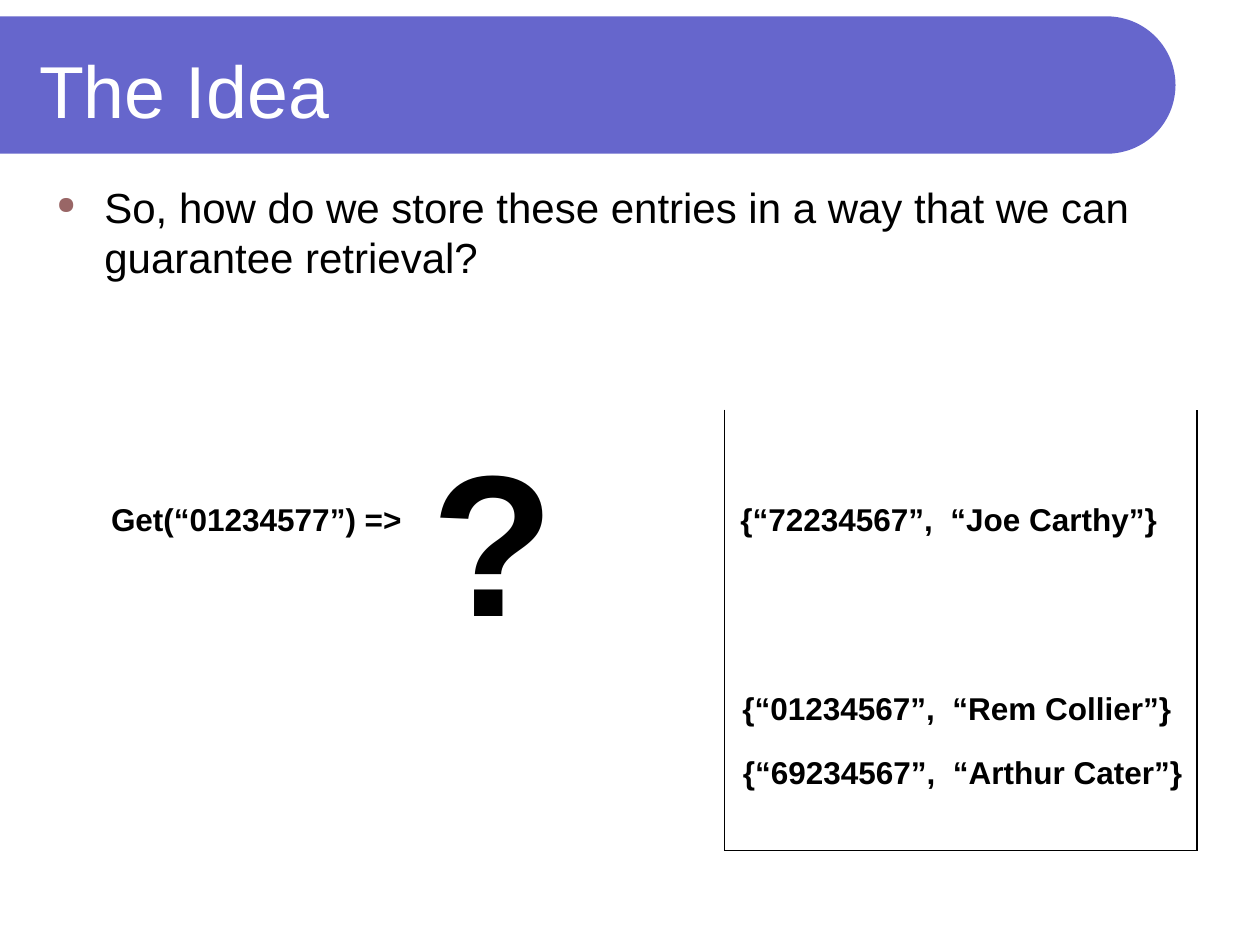
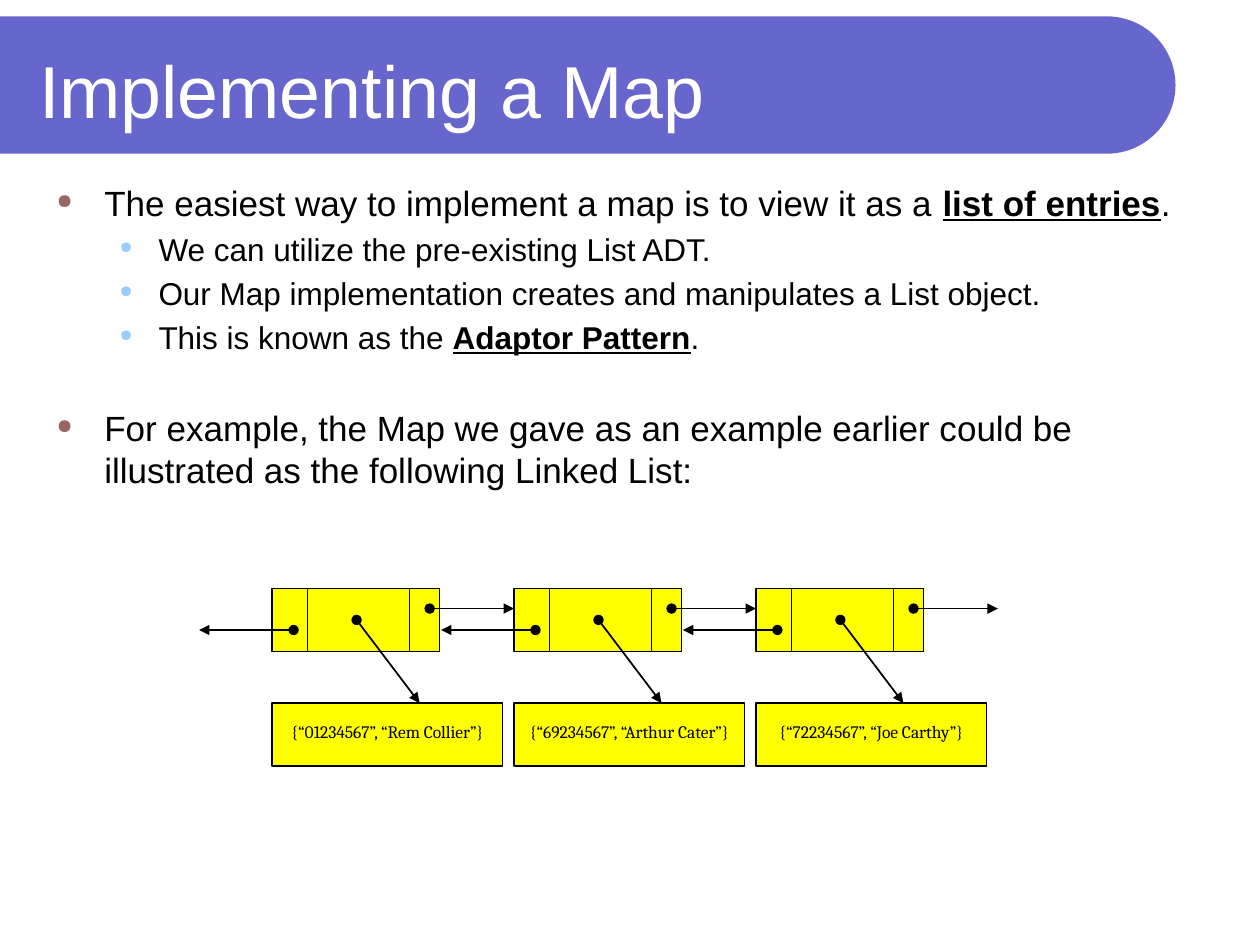
import math
from dataclasses import dataclass
from typing import Any, NamedTuple

import lxml.etree
import pptx
import pptx.dml.color
import pptx.enum.shapes
import pptx.enum.text
import pptx.oxml.ns
import pptx.util

Inches = pptx.util.Inches
Pt = pptx.util.Pt
RGB = pptx.dml.color.RGBColor
Anchor = pptx.enum.text.MSO_ANCHOR
Align = pptx.enum.text.PP_ALIGN


@dataclass(frozen=True)
class Theme:
    band: RGB = RGB(0x66, 0x66, 0xCC)
    paper: RGB = RGB(0xFF, 0xFF, 0xFF)
    ink: RGB = RGB(0, 0, 0)
    node: RGB = RGB(0xFF, 0xFF, 0)
    bullets: tuple[str, str] = ("996666", "99CCFF")
    font: str = "Arial"
    entry_font: str = "Cambria"
    title_size: float = 42
    question_size: float = 24
    point_sizes: tuple[float, float] = (20, 18)
    label_size: float = 18
    mark_size: float = 115
    entry_size: float = 10
    outline: float = 0.75
    arrow: float = 1


THEME = Theme()


class Box(NamedTuple):
    left: float
    top: float
    width: float
    height: float

    def lengths(self) -> list[int]:
        return [Inches(value) for value in self]


class Bullet(NamedTuple):
    runs: list[str]  # every second run is emphasised
    size: float
    level: int = 0
    gap: float | None = None  # space before, in points


class Label(NamedTuple):
    text: str
    box: Box
    size: float = THEME.label_size


TITLE_BOX = Box(0.21, 0.21, 8.77, 1)
BODY_BOX = Box(0.35, 1.39, 9.29, 5.75)


# Formatting helpers
def apply_format(target: Any, values: dict[str, Any]) -> None:
    for name, value in values.items():
        setattr(target, name, value)


def format_font(font: Any, size: float, color: RGB = THEME.ink,
                name: str = THEME.font, **extra: Any) -> None:
    apply_format(font, {"name": name, "size": Pt(size), **extra})
    font.color.rgb = color


def add_element(parent: Any, tag: str, **attributes: str) -> Any:
    return lxml.etree.SubElement(parent, pptx.oxml.ns.qn(tag), attributes)


# Shared slide parts
def add_band(slide: Any) -> None:
    right, top, bottom = Inches(9.33), Inches(0.13), Inches(1.22)
    radius = (bottom - top) / 2
    angles = [math.radians(degree) for degree in range(-90, 91, 3)]
    arc = [(right - radius + radius * math.cos(angle),
            top + radius + radius * math.sin(angle)) for angle in angles]
    builder = slide.shapes.build_freeform(0, top)
    builder.add_line_segments([*arc, (0, bottom)])
    band = builder.convert_to_shape()
    band.shadow.inherit = False
    band.fill.solid()
    band.fill.fore_color.rgb = THEME.band
    band.line.fill.background()
    slide.shapes._spTree.insert(2, band._element)  # behind the title


def add_titled_slide(presentation: Any, text: str) -> Any:
    slide = presentation.slides.add_slide(presentation.slide_layouts[5])
    add_band(slide)
    title = slide.shapes.title
    names = ("left", "top", "width", "height")
    apply_format(title, dict(zip(names, TITLE_BOX.lengths())))
    title.text_frame.text = text
    apply_format(title.text_frame, {"vertical_anchor": Anchor.MIDDLE, "word_wrap": True})
    paragraph = title.text_frame.paragraphs[0]
    paragraph.alignment = Align.LEFT
    format_font(paragraph.font, THEME.title_size, THEME.paper)
    return slide


def add_body(slide: Any, bullets: list[Bullet]) -> None:
    frame = slide.shapes.add_textbox(*BODY_BOX.lengths()).text_frame
    frame.word_wrap = True
    for index, bullet in enumerate(bullets):
        paragraph = frame.add_paragraph() if index else frame.paragraphs[0]
        margin, hanging, percent = ((0.38, 0.38, 58), (0.81, 0.31, 52))[bullet.level]
        properties = paragraph._p.get_or_add_pPr()
        properties.set("marL", str(Inches(margin)))
        properties.set("indent", str(-Inches(hanging)))
        color = add_element(properties, "a:buClr")
        add_element(color, "a:srgbClr", val=THEME.bullets[bullet.level])
        add_element(properties, "a:buSzPct", val=str(percent * 1000))
        add_element(properties, "a:buChar", char="●")
        paragraph.level = bullet.level
        if index:
            paragraph.space_before = Pt(bullet.gap or 0.2 * bullet.size)
        format_font(paragraph.font, bullet.size)
        for position, text in enumerate(bullet.runs):
            run = paragraph.add_run()
            run.text = text
            strong = position % 2 == 1
            format_font(run.font, bullet.size, bold=strong, underline=strong)


# Drawing parts
def add_line(slide: Any, start: tuple[float, float], end: tuple[float, float],
             arrow: bool = False) -> None:
    points = [Inches(value) for value in (*start, *end)]
    connector = slide.shapes.add_connector(
        pptx.enum.shapes.MSO_CONNECTOR.STRAIGHT, *points)
    connector.line.color.rgb = THEME.ink
    connector.line.width = Pt(THEME.arrow if arrow else THEME.outline)
    if arrow:
        line = connector.line._get_or_add_ln()
        add_element(line, "a:headEnd", type="oval")
        add_element(line, "a:tailEnd", type="triangle")
    add_element(connector._element.spPr, "a:effectLst")


def add_label(slide: Any, label: Label) -> None:
    frame = slide.shapes.add_textbox(*label.box.lengths()).text_frame
    apply_format(frame, {"word_wrap": False,
                         "auto_size": pptx.enum.text.MSO_AUTO_SIZE.SHAPE_TO_FIT_TEXT})
    paragraph = frame.paragraphs[0]
    paragraph.text = label.text
    paragraph.alignment = Align.CENTER
    format_font(paragraph.font, label.size, bold=True)


def add_rectangle(slide: Any, box: Box, text: str = "") -> None:
    shape = slide.shapes.add_shape(
        pptx.enum.shapes.MSO_SHAPE.RECTANGLE, *box.lengths())
    shape.shadow.inherit = False
    shape.fill.solid()
    shape.fill.fore_color.rgb = THEME.node
    shape.line.color.rgb = THEME.ink
    shape.line.width = Pt(THEME.outline)
    if text:
        apply_format(shape.text_frame, {"word_wrap": False,
                                        "vertical_anchor": Anchor.MIDDLE})
        paragraph = shape.text_frame.paragraphs[0]
        paragraph.text = text
        apply_format(paragraph, {"alignment": Align.CENTER, "line_spacing": 0.6})
        format_font(paragraph.font, THEME.entry_size, name=THEME.entry_font)


def add_list_node(slide: Any, left: float, top: float, entry: str) -> None:
    add_rectangle(slide, Box(left, top, 1.33, 0.5))
    for offset in (0.28, 1.09):
        add_line(slide, (left + offset, top), (left + offset, top + 0.5))
    add_rectangle(slide, Box(left, top + 0.91, 1.83, 0.5), entry)
    # Pointers to the entry, the next node and the previous node
    for x1, y1, x2, y2 in ((0.67, 0.25, 1.17, 0.91),
                           (1.25, 0.16, 1.92, 0.16),
                           (0.17, 0.33, -0.58, 0.33)):
        add_line(slide, (left + x1, top + y1), (left + x2, top + y2), arrow=True)


# Slides
def build_idea(presentation: Any) -> None:
    slide = add_titled_slide(presentation, "The Idea")
    add_body(slide, [Bullet(
        ["So, how do we store these entries in a way that we can guarantee retrieval?"],
        THEME.question_size)])
    left, right, top, bottom = 5.75, 9.5, 3.25, 6.75
    corners = [(left, top), (left, bottom), (right, bottom), (right, top)]
    for start, end in zip(corners, corners[1:]):
        add_line(slide, start, end)
    for label in (
        Label("{“72234567”,  “Joe Carthy”}", Box(5.76, 3.92, 3.54, 0.4)),
        Label("{“01234567”,  “Rem Collier”}", Box(5.78, 5.42, 3.63, 0.4)),
        Label("{“69234567”,  “Arthur Cater”}", Box(5.78, 5.93, 3.72, 0.4)),
        Label("Get(“01234577”) =>", Box(0.77, 3.92, 2.53, 0.4)),
        Label("?", Box(3.32, 3.25, 1.19, 2.04), THEME.mark_size),
    ):
        add_label(slide, label)


def build_map(presentation: Any) -> None:
    slide = add_titled_slide(presentation, "Implementing a Map")
    main_size, detail_size = THEME.point_sizes
    add_body(slide, [
        Bullet(["The easiest way to implement a map is to view it as a ",
                "list of entries", "."], main_size),
        Bullet(["We can utilize the pre-existing List ADT."], detail_size, 1),
        Bullet(["Our Map implementation creates and manipulates a List object."],
               detail_size, 1),
        Bullet(["This is known as the ", "Adaptor Pattern", "."], detail_size, 1),
        Bullet(["For example, the Map we gave as an example earlier could be "
                "illustrated as the following Linked List:"], main_size, gap=29),
    ])
    entries = ("{“01234567”, “Rem Collier”}", "{“69234567”, “Arthur Cater”}",
               "{“72234567”, “Joe Carthy”}")
    for index, entry in enumerate(entries):
        add_list_node(slide, 2.16 + 1.92 * index, 4.67, entry)


def main() -> None:
    presentation = pptx.Presentation()
    apply_format(presentation, {"slide_width": Inches(10), "slide_height": Inches(7.5)})
    build_idea(presentation)
    build_map(presentation)
    presentation.save("out.pptx")


if __name__ == "__main__":
    main()
